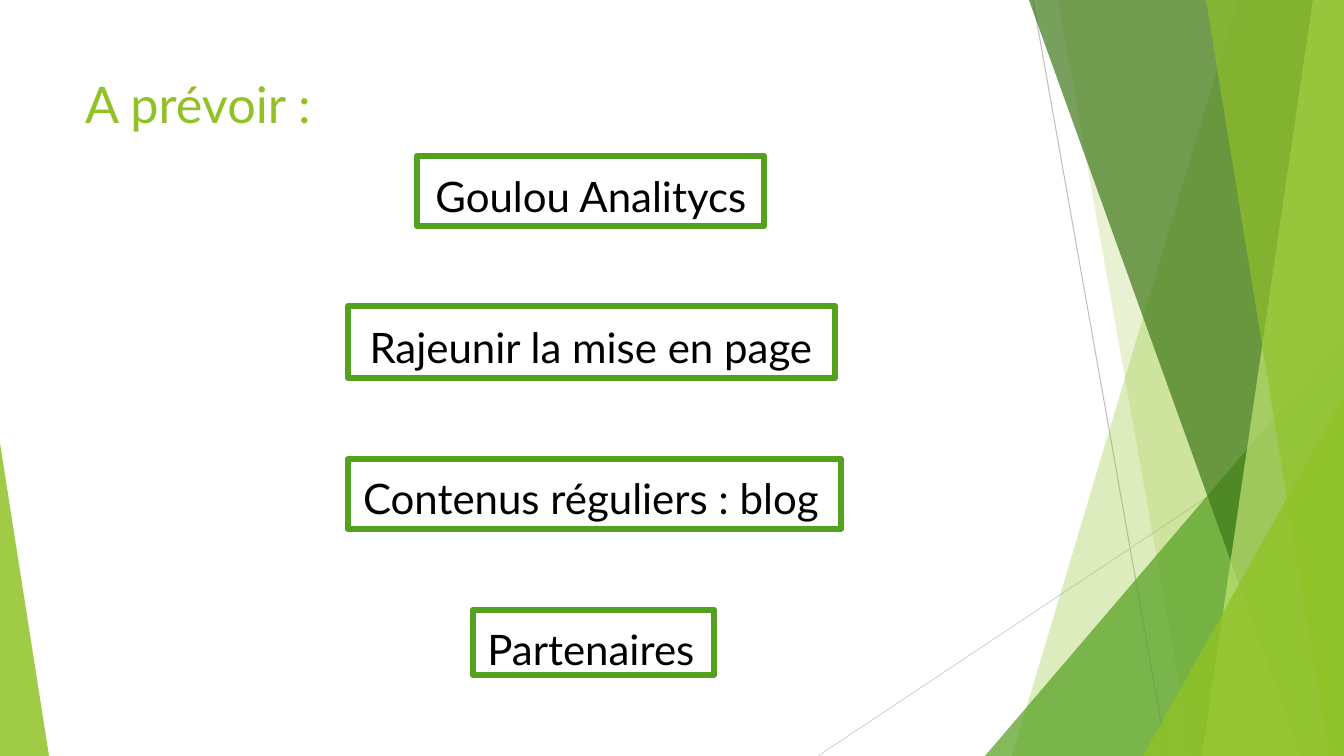
from lxml.etree import SubElement
from pptx import Presentation
from pptx.dml.color import RGBColor
from pptx.enum.shapes import MSO_CONNECTOR, MSO_SHAPE
from pptx.enum.text import MSO_ANCHOR, MSO_AUTO_SIZE, PP_ALIGN
from pptx.oxml.ns import qn
from pptx.util import Pt

PX = 914400 / 100.8
WIDE, HIGH = 1344, 756
HUES = {
    "lime": "90C226", "green": "54A021", "dark": "3F7819", "pale": "C0E474",
    "grey": "BFBFBF", "light": "D9D9D9", "black": "000000",
}


def px(*sizes):
    return [round(size * PX) for size in sizes]


def write(frame, text, size, hue, align):
    para = frame.paragraphs[0] if not frame.text else frame.add_paragraph()
    para.alignment = align
    para.space_before = Pt(0)
    run = para.add_run()
    run.text = text
    run.font.name = "Lato"
    run.font.size = Pt(size)
    run.font.color.rgb = RGBColor.from_string(HUES[hue])
    return para


deck = Presentation()
deck.slide_width, deck.slide_height = px(WIDE, HIGH)
slide = deck.slides.add_slide(deck.slide_layouts[1])
shapes = slide.shapes

rays = [(1033, 0, 1167, HIGH, "grey"), (WIDE, 406, 818, HIGH, "light")]
for *ends, hue in rays:
    ray = shapes.add_connector(MSO_CONNECTOR.STRAIGHT, *px(*ends))
    ray.line.color.rgb = RGBColor.from_string(HUES[hue])
    ray.line.width = Pt(0.75)
    SubElement(ray._element.spPr, qn("a:effectLst"))

bands = [
    ((1238, 1012), "lime", 30),
    ((1058, 1192), "lime", 20),
    ((985, 336, 359, 420, 1), "green", 72),
    ((1029, 1301), "dark", 70),
    ((1313, 1202), "pale", 70),
    ((1206, 1329), "lime", 65),
    ((1143, 396, 201, 360, 1), "lime", 80),
    ((0, 443, 49, 313, 0), "lime", 85),
]
for form, hue, alpha in bands:
    if len(form) == 2:
        top, low = form
        pen = shapes.build_freeform(top, 0, scale=PX)
        pen.add_line_segments([(WIDE, 0), (WIDE, HIGH), (low, HIGH)], close=True)
        band = pen.convert_to_shape()
    else:
        *area, tip = form
        band = shapes.add_shape(MSO_SHAPE.ISOSCELES_TRIANGLE, *px(*area))
        band.adjustments[0] = tip
    band.shadow.inherit = False
    band.line.fill.background()
    band.fill.solid()
    band.fill.fore_color.rgb = RGBColor.from_string(HUES[hue])
    tint = band._element.spPr.find(qn("a:solidFill"))[0]
    SubElement(tint, qn("a:alpha"), val=str(alpha * 1000))

title = shapes.title
body = slide.placeholders[1]
for holder, area in [(title, (75, 68, 948, 145)), (body, (264, 140, 654, 535))]:
    holder.left, holder.top, holder.width, holder.height = px(*area)
    holder.text_frame.word_wrap = True
    holder.text_frame.auto_size = MSO_AUTO_SIZE.NONE
    holder.text_frame.vertical_anchor = MSO_ANCHOR.TOP

write(title.text_frame, "A prévoir :", 36, "lime", PP_ALIGN.LEFT)

tasks = [
    ("Goulou Analitycs", (417, 156, 347, 70)),
    ("Rajeunir la mise en page", (348, 306, 487, 72)),
    ("Contenus réguliers : blog", (348, 459, 493, 70)),
    ("Partenaires", (473, 610, 241, 65)),
]
for text, area in tasks:
    para = write(body.text_frame, text, 30, "black", PP_ALIGN.CENTER)
    para.line_spacing = 1.5
    para.space_after = Pt(54)
    props = para._p.get_or_add_pPr()
    props.set("marL", "0")
    props.set("indent", "0")
    SubElement(props, qn("a:buNone"))

    box = shapes.add_shape(MSO_SHAPE.RECTANGLE, *px(*area))
    box.shadow.inherit = False
    box.fill.background()
    box.line.color.rgb = RGBColor.from_string(HUES["green"])
    box.line.width = Pt(4.5)

deck.save("out.pptx")
